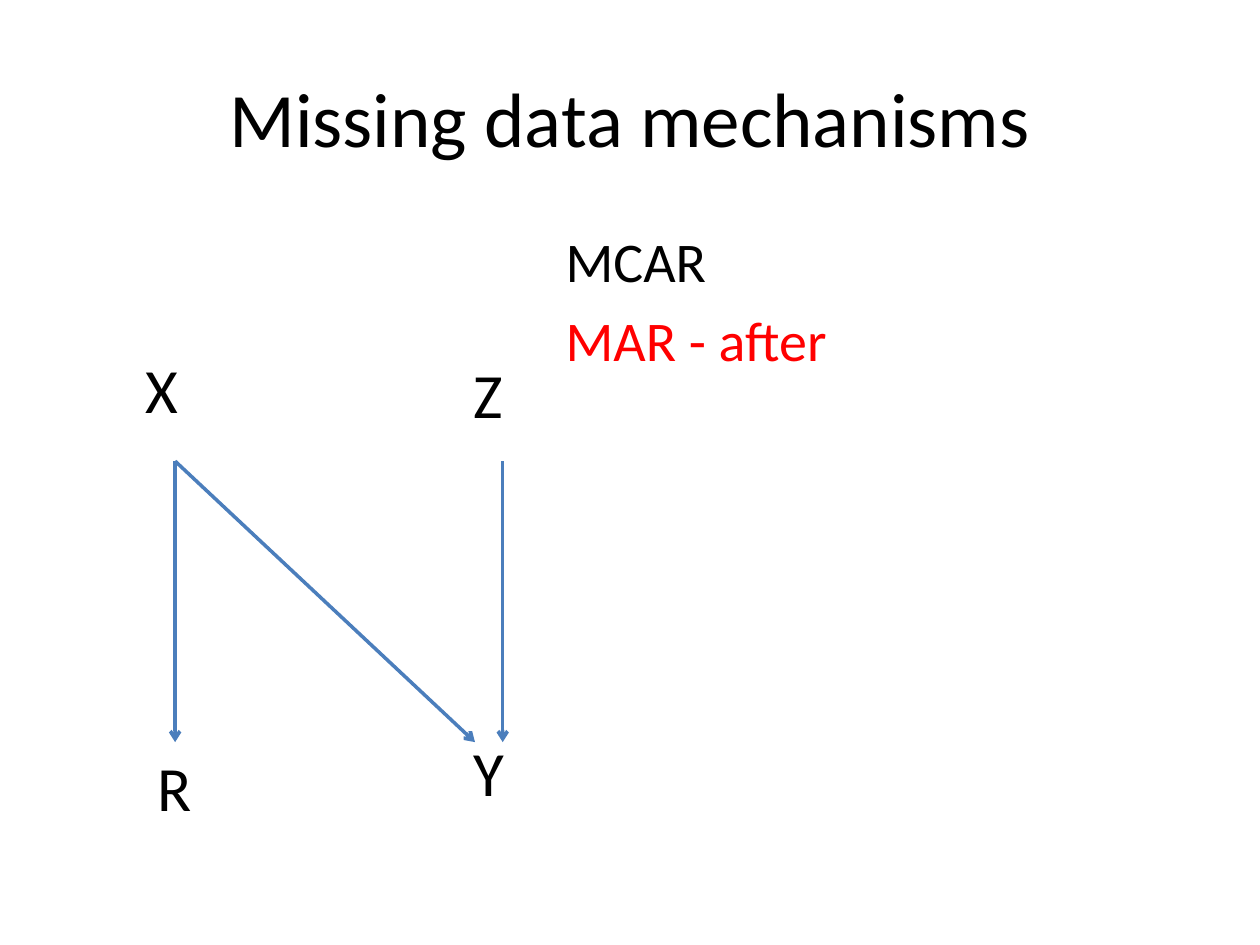
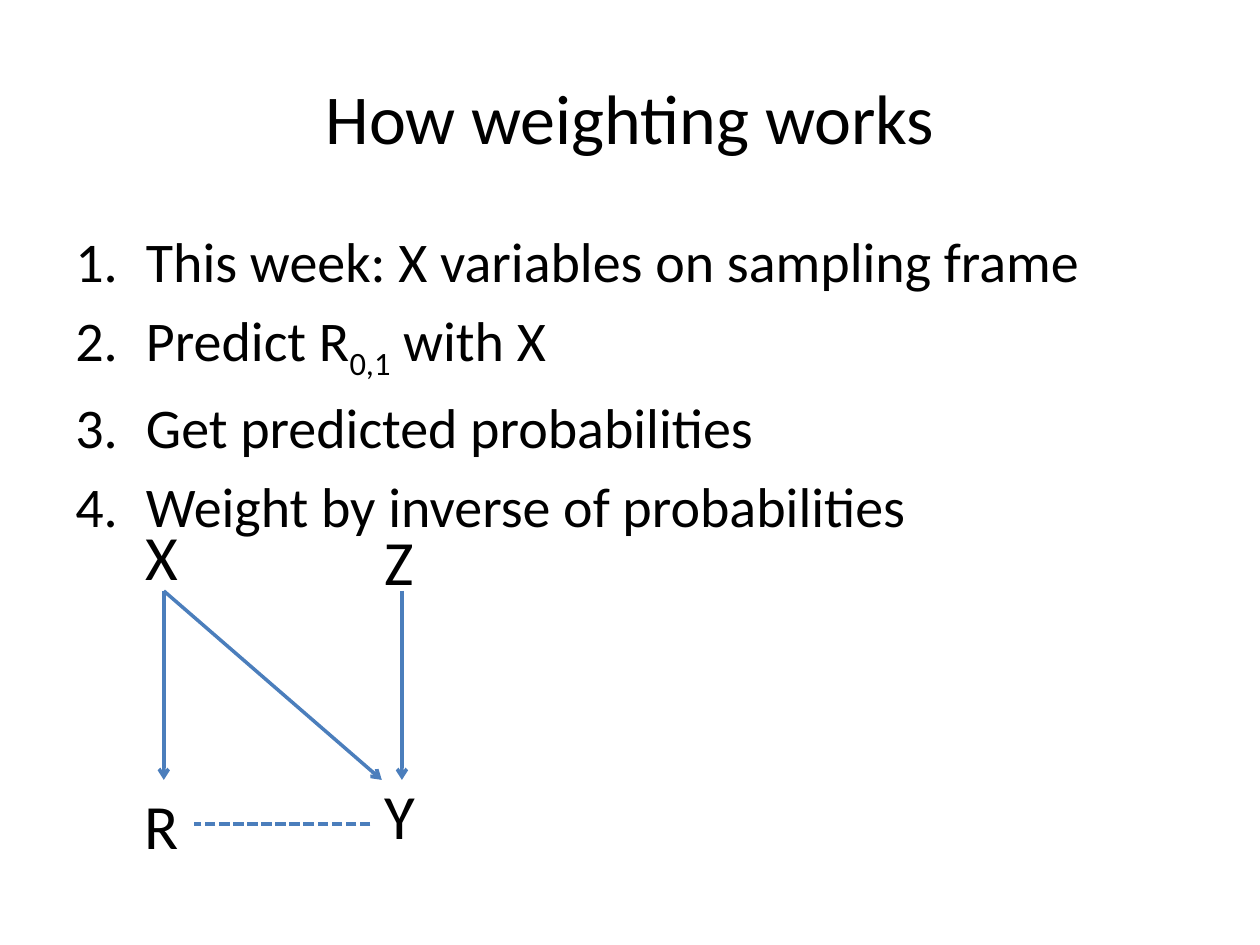
import pptx
import pptx.util
import pptx.dml.color
import pptx.enum.dml
import pptx.enum.shapes
import pptx.enum.text
import pptx.oxml.ns
import lxml.etree

Inches = pptx.util.Inches
Pt = pptx.util.Pt

BLACK = pptx.dml.color.RGBColor(0x00, 0x00, 0x00)
RED = pptx.dml.color.RGBColor(0xFF, 0x00, 0x00)
ARROW_BLUE = pptx.dml.color.RGBColor(0x4B, 0x7E, 0xBC)
FONT = "Calibri"
BODY_SIZE = 32
NODE_SIZE = 36
NUMBER_INDENT = 0.56
SUBSCRIPT = "-25000"

SLIDES = [
    {
        "title": ("Missing data mechanisms", 44),
        "body_box": (4.39, 1.75, 5.11, 4.95),
        "body": [(["MCAR"], BLACK), (["MAR - after"], RED)],
        "numbered": False,
        "node_width": 2.6,
        "nodes": {"X": (1.06, 2.73), "Z": (3.66, 2.77), "R": (1.15, 5.89), "Y": (3.66, 5.77)},
        "arrow_top": 3.66,
        "arrow_bottom": 5.89,
        "x_column": 1.39,
        "z_column": 3.99,
        "diagonal_end": 3.77,
        "dashed": None,
    },
    {
        "title": ("How weighting works", 40),
        "body_box": (0.5, 1.75, 9.15, 4.95),
        "body": [
            (["This week: X variables on sampling frame"], BLACK),
            (["Predict R", "0,1", " with X"], BLACK),
            (["Get predicted probabilities"], BLACK),
            (["Weight by inverse of probabilities"], BLACK),
        ],
        "numbered": True,
        "node_width": 1.89,
        "nodes": {"X": (1.06, 4.06), "Z": (2.95, 4.1), "R": (1.05, 6.19), "Y": (2.95, 6.11)},
        "arrow_top": 4.69,
        "arrow_bottom": 6.19,
        "x_column": 1.3,
        "z_column": 3.19,
        "diagonal_end": 3.03,
        "dashed": ((2.94, 6.54), (1.54, 6.54)),
    },
]


def add_tag(parent, tag, **attributes):
    return lxml.etree.SubElement(parent, pptx.oxml.ns.qn(tag), attributes)


def add_frame(slide, box):
    frame = slide.shapes.add_textbox(*map(Inches, box)).text_frame
    frame.word_wrap = True
    return frame


def style(paragraph, size, color=BLACK):
    paragraph.font.name = FONT
    paragraph.font.size = Pt(size)
    paragraph.font.color.rgb = color


def add_title(slide, text, size):
    frame = add_frame(slide, (0.5, 0.3, 9, 1.25))
    frame.vertical_anchor = pptx.enum.text.MSO_ANCHOR.MIDDLE
    heading = frame.paragraphs[0]
    heading.text = text
    heading.alignment = pptx.enum.text.PP_ALIGN.CENTER
    style(heading, size)


def add_body(slide, box, items, numbered):
    frame = add_frame(slide, box)
    for index, (parts, color) in enumerate(items):
        item = frame.add_paragraph() if index else frame.paragraphs[0]
        if numbered:
            properties = item._p.get_or_add_pPr()
            properties.set("marL", str(Inches(NUMBER_INDENT)))
            properties.set("indent", str(-Inches(NUMBER_INDENT)))
            add_tag(properties, "a:buFont", typeface="+mj-lt")
            add_tag(properties, "a:buAutoNum", type="arabicPeriod")
        item.space_before = Pt(BODY_SIZE * 0.2)
        style(item, BODY_SIZE, color)
        for position, part in enumerate(parts):
            run = item.add_run()
            run.text = part
            if position == 1:
                run._r.get_or_add_rPr().set("baseline", SUBSCRIPT)


def add_line(slide, start, end, dashed=False):
    connector = slide.shapes.add_connector(
        pptx.enum.shapes.MSO_CONNECTOR.STRAIGHT, *map(Inches, start + end)
    )
    connector.line.color.rgb = ARROW_BLUE
    connector.line.width = Pt(2)
    if dashed:
        connector.line.dash_style = pptx.enum.dml.MSO_LINE.SQUARE_DOT
    else:
        add_tag(connector.line._get_or_add_ln(), "a:tailEnd", type="arrow")
    add_tag(connector._element.spPr, "a:effectLst")


def add_diagram(slide, content):
    for name, (left, top) in content["nodes"].items():
        label = add_frame(slide, (left, top, content["node_width"], 0.71)).paragraphs[0]
        label.text = name
        style(label, NODE_SIZE)
    x_column, z_column = content["x_column"], content["z_column"]
    for start, end in [
        (x_column, x_column),
        (x_column, content["diagonal_end"]),
        (z_column, z_column),
    ]:
        add_line(slide, (start, content["arrow_top"]), (end, content["arrow_bottom"]))
    if content["dashed"]:
        add_line(slide, *content["dashed"], dashed=True)


def main():
    deck = pptx.Presentation()
    deck.slide_width = Inches(10)
    deck.slide_height = Inches(7.5)
    for content in SLIDES:
        slide = deck.slides.add_slide(deck.slide_layouts[6])
        add_title(slide, *content["title"])
        add_body(slide, content["body_box"], content["body"], content["numbered"])
        add_diagram(slide, content)
    deck.save("out.pptx")


if __name__ == "__main__":
    main()
